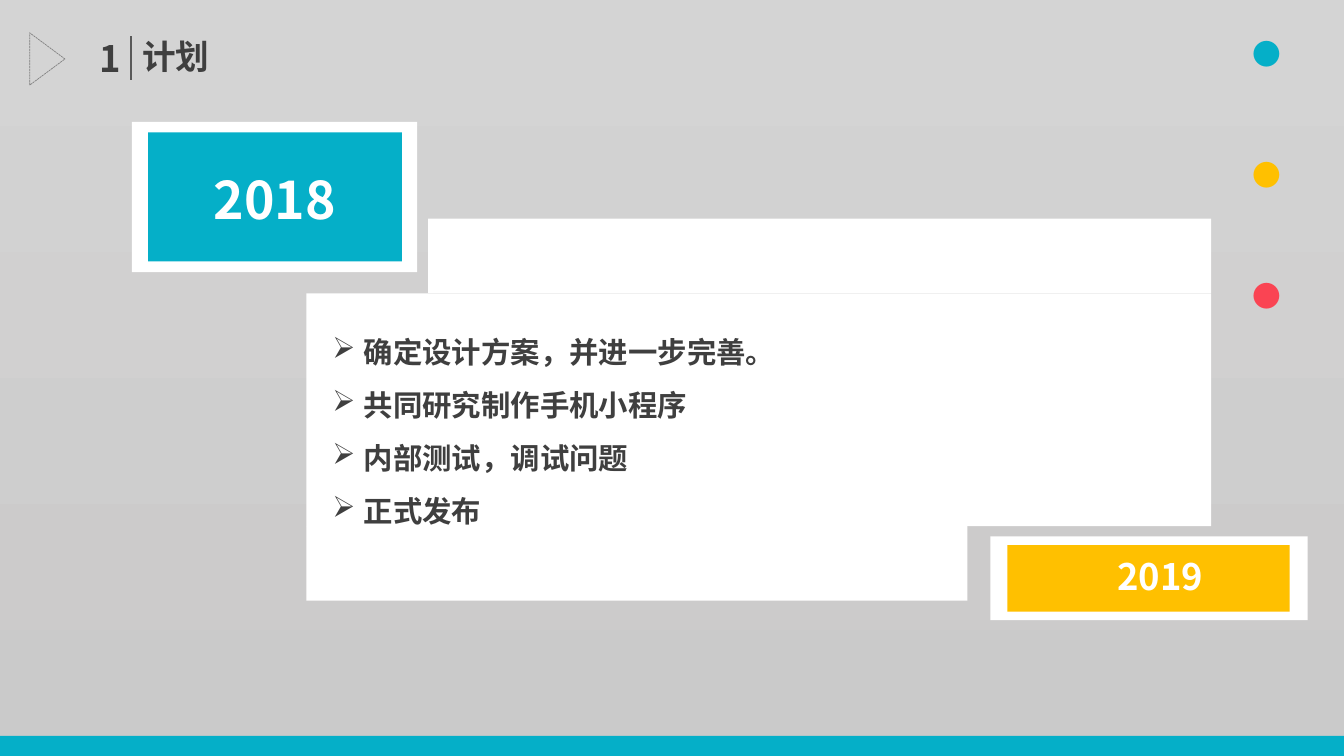
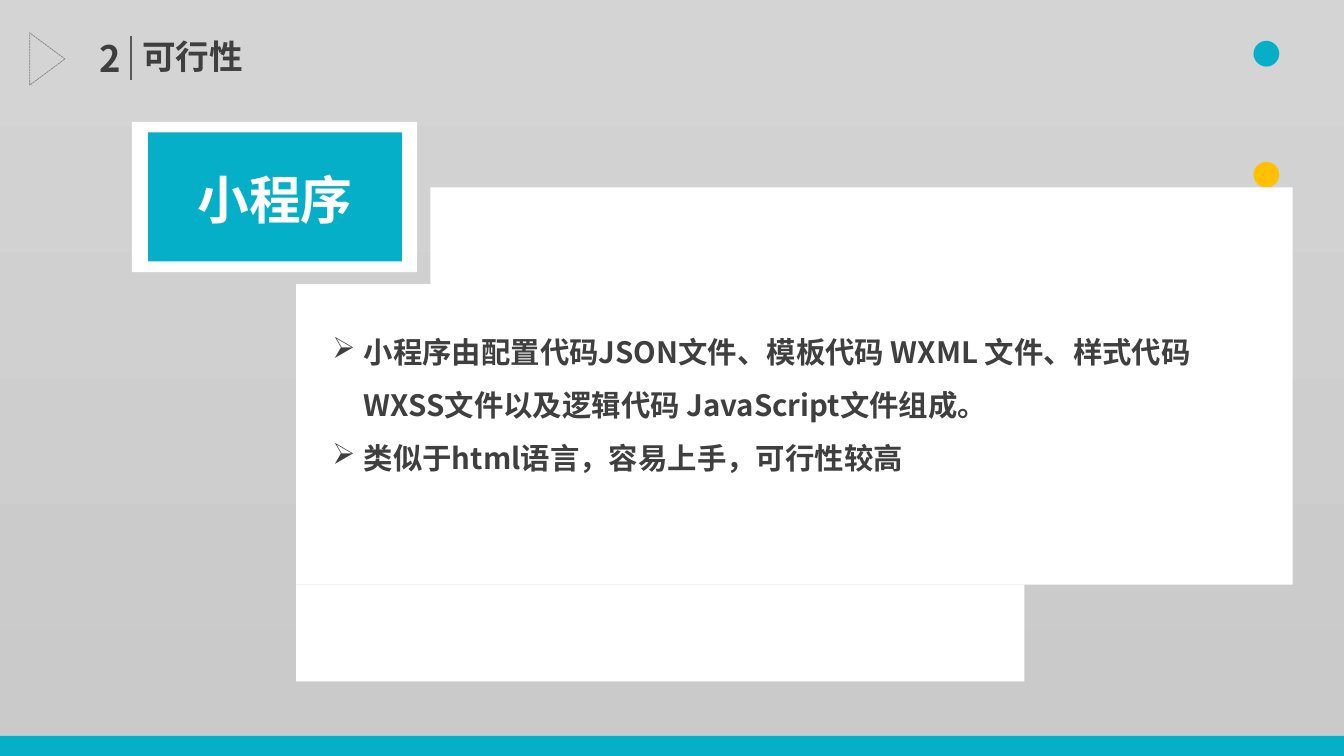
from dataclasses import dataclass

from lxml.etree import SubElement
from pptx import Presentation
from pptx.dml.color import RGBColor
from pptx.enum.dml import MSO_LINE_DASH_STYLE as Dash
from pptx.enum.shapes import MSO_CONNECTOR, MSO_SHAPE as Shape
from pptx.enum.text import MSO_ANCHOR, MSO_AUTO_SIZE, PP_ALIGN as Align
from pptx.oxml.ns import qn
from pptx.util import Pt


@dataclass(frozen=True)
class Theme:
    font: str = "Noto Sans CJK SC"
    background_top: str = "F2F2F2"
    background_bottom: str = "E7E6E6"
    shade: str = "000000"
    white: str = "FFFFFF"
    ink: str = "3F3F3F"
    divider: str = "595959"
    outline: str = "7F7F7F"
    cyan: str = "05AFC8"
    yellow: str = "FFC000"
    red: str = "FA4453"
    title_size: int = 24
    number_size: int = 26
    badge_size: int = 37
    body_size: int = 21
    dot_size: int = 72


theme = Theme()
color = RGBColor.from_string


def add_block(slide, box, fill, kind=Shape.RECTANGLE):
    shape = slide.shapes.add_shape(kind, *map(Pt, box))
    shape.shadow.inherit = False
    shape.line.fill.background()
    if fill:
        shape.fill.solid()
        shape.fill.fore_color.rgb = color(fill)
    else:
        shape.fill.background()
    return shape


def write_text(shape, box, paragraphs, size, align=Align.LEFT, bullets=False):
    """Place a text shape and fill it; each paragraph is a list of (text, colour) runs."""
    shape.left, shape.top, shape.width, shape.height = map(Pt, box)
    frame = shape.text_frame
    frame.word_wrap = True
    frame.auto_size = MSO_AUTO_SIZE.NONE
    frame.vertical_anchor = MSO_ANCHOR.TOP
    for index, runs in enumerate(paragraphs):
        paragraph = frame.add_paragraph() if index else frame.paragraphs[0]
        paragraph.alignment = align
        if bullets:
            properties = paragraph._p.get_or_add_pPr()
            properties.set("marL", str(Pt(22.5)))
            properties.set("indent", str(-Pt(22.5)))
            bullet_color = SubElement(properties, qn("a:buClr"))
            SubElement(bullet_color, qn("a:srgbClr"), val=theme.ink)
            SubElement(properties, qn("a:buChar"), char="➢")
            paragraph.line_spacing = 1.5
        for text, run_color in runs:
            run = paragraph.add_run()
            run.text = text
            run.font.size = Pt(size)
            run.font.bold = True
            run.font.color.rgb = color(run_color)
            run.font.name = theme.font
            SubElement(run.font._element, qn("a:ea"), typeface=theme.font)


presentation = Presentation()
presentation.slide_width = Pt(960.48)
presentation.slide_height = Pt(540)

background = presentation.slide_master.background.fill
background.gradient()
background.gradient_angle = 270
for stop, stop_color in zip(background.gradient_stops,
                            (theme.background_top, theme.background_bottom)):
    stop.color.rgb = color(stop_color)

# Panel: left, top, width, step height, body height
slides = [
    dict(title="计划", badge="2018", end_badge="2019",
         panel=(218.9, 156.2, 646.6, 53.3, 166.3),
         points=["确定设计方案，并进一步完善。", "共同研究制作手机小程序",
                 "内部测试，调试问题", "正式发布"]),
    dict(title="可行性", badge="小程序", end_badge=None,
         panel=(211.7, 133.9, 712.1, 69.1, 214.6),
         points=["小程序由配置代码JSON文件、模板代码 WXML 文件、样式代码 WXSS文件"
                 "以及逻辑代码 JavaScript文件组成。",
                 "类似于html语言，容易上手，可行性较高"]),
]

for number, content in enumerate(slides, start=1):
    slide = presentation.slides.add_slide(presentation.slide_layouts[5])
    shapes = slide.shapes
    title = shapes.title

    # Grey veil behind everything else
    veil = add_block(slide, (0, 0, 960.48, 540), theme.shade)
    veil_color = veil.fill._xPr.find(qn("a:solidFill"))[0]
    SubElement(veil_color, qn("a:alpha"), val="12000")
    title.element.addprevious(veil.element)

    # Heading
    write_text(title, (94.3, 22.3, 317.5, 36),
               [[(content["title"], theme.ink)]], theme.title_size)
    write_text(shapes.add_textbox(0, 0, 0, 0), (11.5, 22.3, 82.1, 38.9),
               [[(str(number), theme.ink)]], theme.number_size, Align.RIGHT)
    divider = shapes.add_connector(MSO_CONNECTOR.STRAIGHT, Pt(93.6), Pt(56.9), Pt(93.6), Pt(25.9))
    divider.line.color.rgb = color(theme.divider)
    divider.line.width = Pt(1.5)
    SubElement(divider.element.spPr, qn("a:effectLst"))
    marker = add_block(slide, (15.1, 29.5, 37.4, 25.2), None, Shape.FLOWCHART_MERGE)
    marker.rotation = 270
    marker.line.color.rgb = color(theme.outline)
    marker.line.width = Pt(0.5)
    marker.line.dash_style = Dash.SQUARE_DOT

    # Dots, one to a line
    write_text(shapes.add_textbox(0, 0, 0, 0), (789.8, -9.4, 158.4, 93.6),
               [[("· ", theme.cyan), ("· ", theme.yellow), ("·", theme.red)]],
               theme.dot_size, Align.RIGHT)

    # Stepped white panel
    left, top, width, step, body = content["panel"]
    notch = round(width * 0.1346, 2)
    for box in ((left, top + step, width, body),
                (left + notch, top, width - notch, step),
                (left, top + step + body, width - 2 * notch, step)):
        add_block(slide, box, theme.white)

    # Badges: frame, filling, label
    badges = [(content["badge"], theme.cyan, theme.badge_size, (94.3, 87.1, 203.8, 107.3),
               (105.8, 94.6, 181.4, 92.2), (105.8, 116.6, 181.4, 51.8))]
    if content["end_badge"]:
        badges.append((content["end_badge"], theme.yellow, theme.number_size,
                       (707.8, 383.2, 226.8, 59.8), (720, 389.4, 201.6, 47.6),
                       (770.4, 392.4, 117.4, 38.9)))
    for text, fill, size, frame_box, fill_box, label_box in badges:
        add_block(slide, frame_box, theme.white)
        add_block(slide, fill_box, fill)
        write_text(shapes.add_textbox(0, 0, 0, 0), label_box,
                   [[(text, theme.white)]], size, Align.CENTER)

    write_text(shapes.add_textbox(0, 0, 0, 0), (230.4, 222.5, 635, 158.4),
               [[(point, theme.ink)] for point in content["points"]],
               theme.body_size, bullets=True)

    add_block(slide, (0, 525.6, 960.48, 14.4), theme.cyan)

presentation.save("out.pptx")
